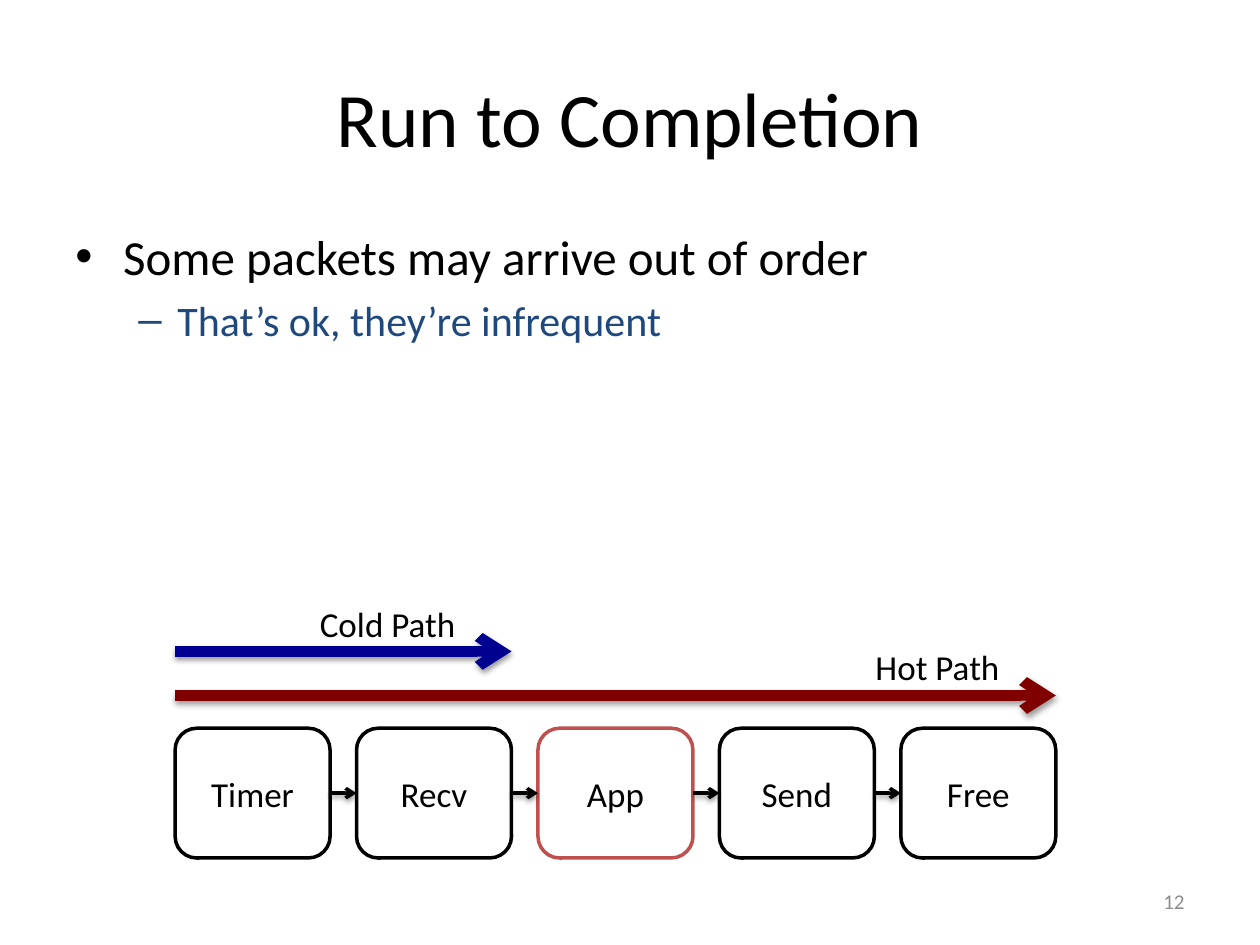
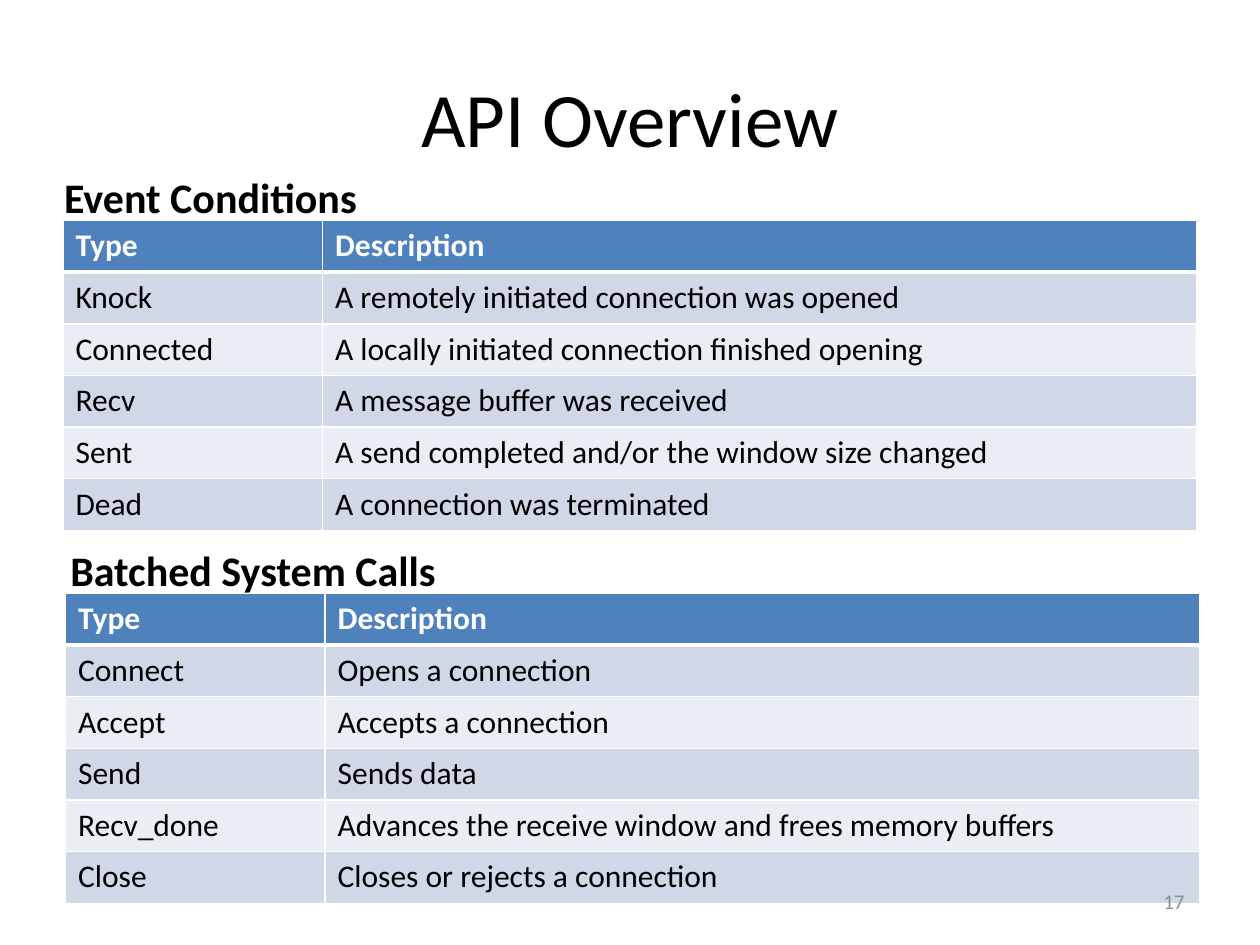
from lxml import etree
from pptx import Presentation
from pptx import util as u
from pptx.dml.color import RGBColor
from pptx.enum import shapes, text
from pptx.oxml import parse_xml
from pptx.oxml.ns import nsdecls, qn

BLACK = RGBColor(0x00, 0x00, 0x00)
WHITE = RGBColor(0xFF, 0xFF, 0xFF)
GREY = RGBColor(0x8C, 0x8C, 0x8C)
NAVY = RGBColor(0x1F, 0x49, 0x7D)
RED = RGBColor(0xC0, 0x50, 0x4D)
HOT = RGBColor(0x80, 0x00, 0x00)
COLD = RGBColor(0x00, 0x00, 0x90)
HEADER = RGBColor(0x4F, 0x81, 0xBD)
BANDS = (RGBColor(0xE9, 0xED, 0xF4), RGBColor(0xD0, 0xD8, 0xE8))

TITLE_ONLY = 5
SHADOW = f"""<a:effectLst {nsdecls("a")}>
  <a:outerShdw blurRad="40000" dist="20000" dir="5400000" rotWithShape="0">
    <a:srgbClr val="000000"><a:alpha val="38000"/></a:srgbClr>
  </a:outerShdw>
</a:effectLst>"""


class SlideWriter:
    """Holds the shared style and the slide being filled."""

    font = "Calibri"

    def __init__(self, deck):
        self.deck = deck
        self.page = None

    def start(self, title):
        """Add a slide with its title."""
        self.page = self.deck.slides.add_slide(self.deck.slide_layouts[TITLE_ONLY])
        box = self.page.shapes.title
        box.left, box.top = u.Inches(0.5), u.Inches(0.3)
        box.width, box.height = u.Inches(9), u.Inches(1.25)
        box.text_frame.vertical_anchor = text.MSO_ANCHOR.MIDDLE
        para = box.text_frame.paragraphs[0]
        para.alignment = text.PP_ALIGN.CENTER
        self.span(para, title, 44)

    def page_number(self, number):
        """Add the page number; call it last so that it stays in front."""
        frame = self.text_box(7.17, 6.95, 2.33, 0.4)
        frame.vertical_anchor = text.MSO_ANCHOR.MIDDLE
        para = frame.paragraphs[0]
        para.alignment = text.PP_ALIGN.RIGHT
        self.span(para, str(number), 12, GREY)

    def span(self, para, words, size, color=BLACK, bold=False):
        span = para.add_run()
        span.text = words
        span.font.name = self.font
        span.font.size = u.Pt(size)
        span.font.bold = bold
        span.font.color.rgb = color

    def text_box(self, left, top, width, height, wrap=True):
        box = self.page.shapes.add_textbox(
            u.Inches(left), u.Inches(top), u.Inches(width), u.Inches(height))
        box.text_frame.word_wrap = wrap
        return box.text_frame

    def label(self, words, left, top, width, height, size=20, bold=False):
        """Add one line of text in a box that fits it."""
        frame = self.text_box(left, top, width, height, wrap=False)
        frame.auto_size = text.MSO_AUTO_SIZE.SHAPE_TO_FIT_TEXT
        self.span(frame.paragraphs[0], words, size, bold=bold)

    def bullet(self, para, mark, words, size, margin, hang, color=BLACK):
        props = para._p.get_or_add_pPr()
        props.set("marL", str(u.Inches(margin)))
        props.set("indent", str(-u.Inches(hang)))
        etree.SubElement(props, qn("a:buFont"), typeface="Arial")
        etree.SubElement(props, qn("a:buChar"), char=mark)
        self.span(para, words, size, color)

    def stage(self, name, left, top, width, height, color):
        """Add a rounded, outlined step of the pipeline."""
        box = self.page.shapes.add_shape(
            shapes.MSO_SHAPE.ROUNDED_RECTANGLE,
            u.Inches(left), u.Inches(top), u.Inches(width), u.Inches(height))
        box.shadow.inherit = False
        box.fill.solid()
        box.fill.fore_color.rgb = WHITE
        box.line.color.rgb = color
        box.line.width = u.Pt(2)
        box.text_frame.vertical_anchor = text.MSO_ANCHOR.MIDDLE
        para = box.text_frame.paragraphs[0]
        para.alignment = text.PP_ALIGN.CENTER
        self.span(para, name, 20)
        return box

    def arrow(self, start, end, y, color=BLACK, width=2):
        """Add a horizontal arrow with a soft shadow."""
        line = self.page.shapes.add_connector(
            shapes.MSO_CONNECTOR.STRAIGHT,
            u.Inches(start), u.Inches(y), u.Inches(end), u.Inches(y))
        line.line.color.rgb = color
        line.line.width = u.Pt(width)
        etree.SubElement(line.line._get_or_add_ln(), qn("a:tailEnd"), type="arrow")
        line._element.spPr.append(parse_xml(SHADOW))
        return line

    def join(self, before, after):
        line = self.arrow(0, 1, 0)
        line.begin_connect(before, 3)
        line.end_connect(after, 1)

    def border(self, cell, side, width):
        cell._tc.get_or_add_tcPr().append(parse_xml(
            f'<a:ln{side} {nsdecls("a")} w="{u.Pt(width)}"><a:solidFill>'
            f'<a:srgbClr val="{WHITE}"/></a:solidFill></a:ln{side}>'))

    def table(self, rows, left, top, widths, row_height):
        grid = self.page.shapes.add_table(
            len(rows), len(widths), u.Inches(left), u.Inches(top),
            u.Inches(sum(widths)), u.Inches(row_height * len(rows))).table
        for column, width in zip(grid.columns, widths):
            column.width = u.Inches(width)
        for r, row in enumerate(rows):
            is_header = r == 0
            for c, words in enumerate(row):
                cell = grid.cell(r, c)
                for side in "LRTB":
                    below_header = (r, side) in ((0, "B"), (1, "T"))
                    self.border(cell, side, 3 if below_header else 1)
                cell.fill.solid()
                cell.fill.fore_color.rgb = HEADER if is_header else BANDS[r % 2]
                self.span(cell.text_frame.paragraphs[0], words, 18,
                          WHITE if is_header else BLACK, is_header)


def run_to_completion(writer):
    writer.start("Run to Completion")
    frame = writer.text_box(0.5, 1.75, 9, 1.64)
    writer.bullet(frame.paragraphs[0], "•", "Some packets may arrive out of order",
                  28, 0.38, 0.38)
    para = frame.add_paragraph()
    para.level = 1
    para.space_before = u.Pt(5)
    writer.bullet(para, "–", "That’s ok, they’re infrequent", 24, 0.81, 0.31, NAVY)

    left, pitch, width = 1.39, 1.44, 1.23
    names = ["Timer", "Recv", "App", "Send", "Free"]
    stages = [
        writer.stage(name, left + i * pitch, 5.78, width, 1.03,
                     RED if name == "App" else BLACK)
        for i, name in enumerate(names)]
    for before, after in zip(stages, stages[1:]):
        writer.join(before, after)

    writer.arrow(left, left + 4 * pitch + width, 5.52, HOT, 6)
    writer.arrow(left, left + pitch + width, 5.17, COLD, 6)
    writer.label("Hot Path", 6.85, 5.07, 1.2, 0.44)
    writer.label("Cold Path", 2.44, 4.73, 1.3, 0.44)
    writer.page_number(12)


def api_overview(writer):
    writer.start("API Overview")
    heading = ("Type", "Description")
    events = [
        heading,
        ("Knock", "A remotely initiated connection was opened"),
        ("Connected", "A locally initiated connection finished opening"),
        ("Recv", "A message buffer was received"),
        ("Sent", "A send completed and/or the window size changed"),
        ("Dead", "A connection was terminated"),
    ]
    calls = [
        heading,
        ("Connect", "Opens a connection"),
        ("Accept", "Accepts a connection"),
        ("Send", "Sends data"),
        ("Recv_done", "Advances the receive window and frees memory buffers"),
        ("Close", "Closes or rejects a connection"),
    ]
    widths, row_height = (2.06, 6.94), 0.41
    writer.table(events, 0.5, 1.75, widths, row_height)
    writer.label("Event Conditions", 0.41, 1.31, 2.55, 0.5, 24, True)
    writer.table(calls, 0.52, 4.71, widths, row_height)
    writer.label("Batched System Calls", 0.46, 4.27, 3.18, 0.5, 24, True)
    writer.page_number(17)


def main():
    deck = Presentation()
    deck.slide_width, deck.slide_height = u.Inches(10), u.Inches(7.5)
    writer = SlideWriter(deck)
    run_to_completion(writer)
    api_overview(writer)
    deck.save("out.pptx")


if __name__ == "__main__":
    main()
